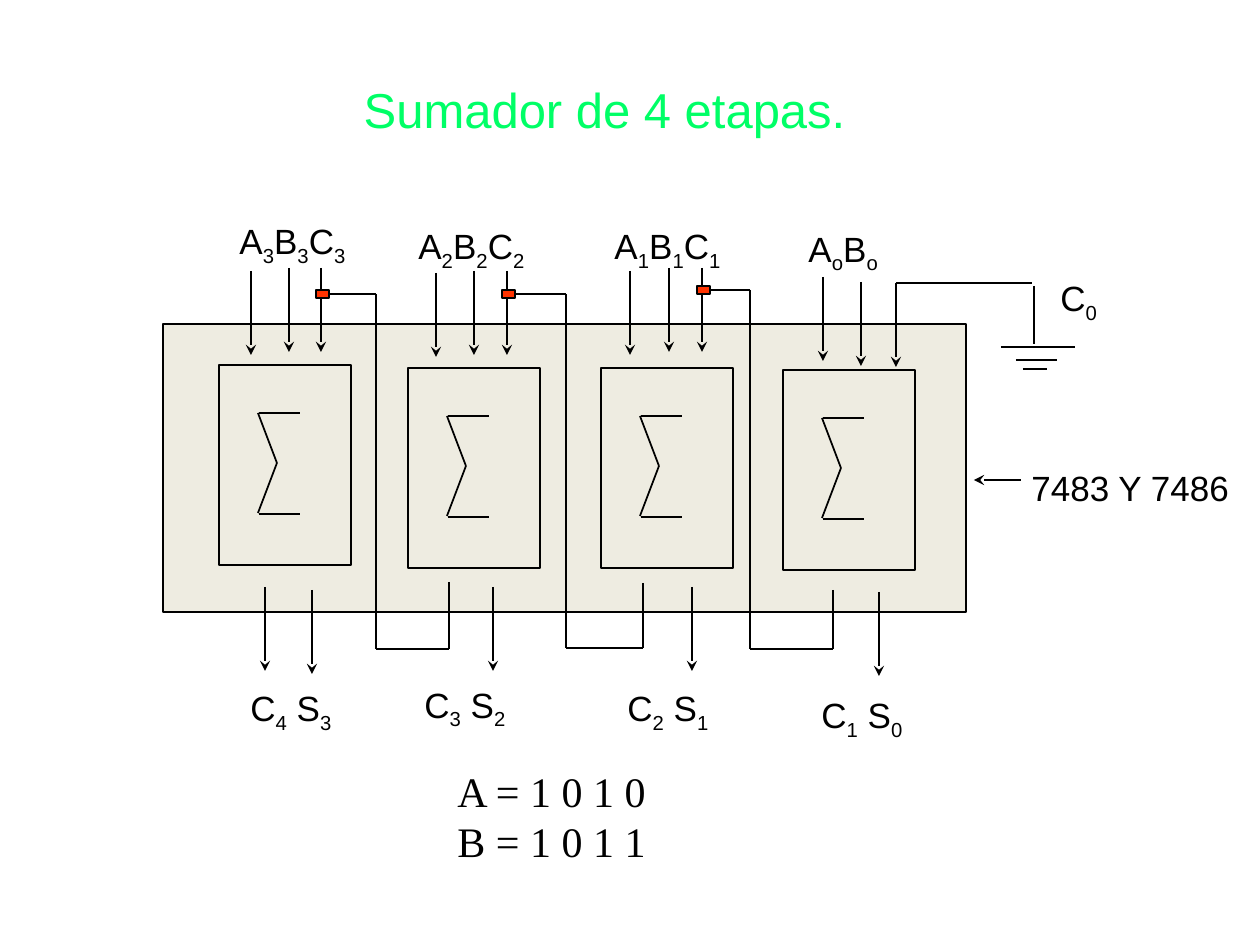
"""Build a slide showing a four-stage binary adder."""
from dataclasses import dataclass
from typing import Optional

from lxml.etree import SubElement
from pptx import Presentation
from pptx.dml.color import RGBColor
from pptx.enum.shapes import MSO_CONNECTOR as Link, MSO_SHAPE as Preset
from pptx.enum.text import MSO_ANCHOR as Anchor, PP_ALIGN as Align
from pptx.oxml.ns import qn
from pptx.util import Emu, Pt

EMU_PER_PX = 914400 / 126
BLACK = "000000"
INPUT_LENGTH = OUTPUT_LENGTH = 84
RIGHT_SIDE = 3
Point = tuple[int, int]


@dataclass(frozen=True)
class Label:
    text: str
    left: int
    top: int
    width: int


@dataclass(frozen=True)
class Carry:
    junction: Point
    riser: int
    bottom: int
    source: Point


@dataclass(frozen=True)
class Stage:
    left: int
    top: int
    inputs: tuple[Point, ...]
    outputs: tuple[Point, ...]
    operands: Label
    results: Label
    carry: Optional[Carry] = None


STAGES = (
    Stage(219, 365, ((251, 271), (289, 268), (321, 268)), ((265, 587), (312, 590)),
          Label("A_3_B_3_C_3", 227, 213, 136), Label("C_4_ S_3", 238, 680, 112),
          Carry((321, 294), 376, 649, (449, 582))),
    Stage(408, 368, ((436, 273), (474, 271), (507, 271)), ((493, 587),),
          Label("A_2_B_2_C_2", 406, 218, 136), Label("C_3_ S_2", 412, 677, 112),
          Carry((507, 294), 566, 648, (643, 583))),
    Stage(601, 368, ((630, 271), (669, 268), (702, 268)), ((692, 587),),
          Label("A_1_B_1_C_1", 602, 218, 136), Label("C_2_ S_1", 615, 680, 112),
          Carry((702, 290), 750, 649, (833, 590))),
    Stage(783, 370, ((823, 277), (861, 282), (896, 283)), ((879, 592),),
          Label("A_o_B_o", 796, 221, 97), Label("C_1_ S_0", 809, 687, 112)),
)
SIDE_LABELS = (Label("C_0", 1048, 270, 63), Label("7483 Y 7486", 1019, 460, 224))
GROUND_WIRES = (
    ((896, 283), (1032, 283)), ((1034, 286), (1034, 344)),
    ((1001, 347), (1075, 347)), ((1016, 360), (1057, 360)), ((1023, 369), (1047, 369)),
)
SIGMA_STROKES = (
    ((39, 48), (58, 98)), ((39, 148), (58, 98)),
    ((40, 48), (81, 48)), ((40, 149), (81, 149)),
)

deck = Presentation()


def px(length: int) -> Emu:
    return Emu(round(length * EMU_PER_PX))


def color(code: str) -> RGBColor:
    return RGBColor.from_string(code)


deck.slide_width, deck.slide_height = px(1260), px(945)
slide = deck.slides.add_slide(deck.slide_layouts[6])


def write(text: str, left: int, top: int, width: int, height: int, *, size: int = 20,
          font: str = "Arial", fill: str = BLACK, align: Align = Align.LEFT,
          anchor: Anchor = Anchor.TOP, wrap: bool = False) -> None:
    """Write text whose lines alternate normal and subscript parts at underscores."""
    frame = slide.shapes.add_textbox(px(left), px(top), px(width), px(height)).text_frame
    frame.word_wrap, frame.vertical_anchor = wrap, anchor
    for index, line in enumerate(text.split("\n")):
        paragraph = frame.add_paragraph() if index else frame.paragraphs[0]
        paragraph.alignment = align
        for position, part in enumerate(line.split("_")):
            run = paragraph.add_run()
            run.text = part
            run.font.size, run.font.name = Pt(size), font
            run.font.color.rgb = color(fill)
            if position % 2:
                run.font._element.set("baseline", "-25000")


def draw_box(left: int, top: int, width: int, height: int, fill: Optional[str] = None):
    box = slide.shapes.add_shape(Preset.RECTANGLE, px(left), px(top), px(width), px(height))
    box.shadow.inherit = False
    if fill:
        box.fill.solid()
        box.fill.fore_color.rgb = color(fill)
    else:
        box.fill.background()
    box.line.color.rgb, box.line.width = color(BLACK), Pt(1)
    return box


def draw_wire(start: Point, end: Point, arrow: bool = False):
    wire = slide.shapes.add_connector(Link.STRAIGHT, *map(px, start + end))
    wire.line.color.rgb, wire.line.width = color(BLACK), Pt(1)
    if arrow:
        SubElement(wire.line._get_or_add_ln(), qn("a:tailEnd"), type="stealth")
    SubElement(wire._element.spPr, qn("a:effectLst"))
    return wire


def draw_label(label: Label) -> None:
    write(label.text, label.left, label.top, label.width, 54)


def draw_carry(carry: Carry) -> None:
    x, y = carry.junction
    source_x, source_y = carry.source
    junction = draw_box(x - 5, y - 4, 13, 8, "FF3300")
    branch = draw_wire((x + 8, y), (carry.riser, y))
    branch.begin_connect(junction, RIGHT_SIDE)
    draw_wire((carry.riser, y), (carry.riser, carry.bottom))
    draw_wire((carry.riser, carry.bottom), (source_x, carry.bottom))
    draw_wire((source_x, source_y), (source_x, carry.bottom))


def draw_stage(stage: Stage) -> None:
    draw_box(stage.left, stage.top, 132, 200)
    for (x1, y1), (x2, y2) in SIGMA_STROKES:
        draw_wire((stage.left + x1, stage.top + y1), (stage.left + x2, stage.top + y2))
    for x, y in stage.inputs:
        draw_wire((x, y), (x, y + INPUT_LENGTH), arrow=True)
    for x, y in stage.outputs:
        draw_wire((x, y), (x, y + OUTPUT_LENGTH), arrow=True)
    draw_label(stage.operands)
    draw_label(stage.results)
    if stage.carry:
        draw_carry(stage.carry)


def main() -> None:
    write("Sumador de 4 etapas.", 69, 25, 1071, 168, size=28, fill="00FF66",
          align=Align.CENTER, anchor=Anchor.MIDDLE, wrap=True)
    draw_box(163, 324, 803, 288, "EEECE1")
    for stage in STAGES:
        draw_stage(stage)
    for start, end in GROUND_WIRES:
        draw_wire(start, end)
    for label in SIDE_LABELS:
        draw_label(label)
    draw_wire((1021, 480), (974, 480), arrow=True)
    write("A = 1 0 1 0\nB = 1 0 1 1", 445, 759, 215, 113, size=24, font="Times New Roman")
    deck.save("out.pptx")


if __name__ == "__main__":
    main()
